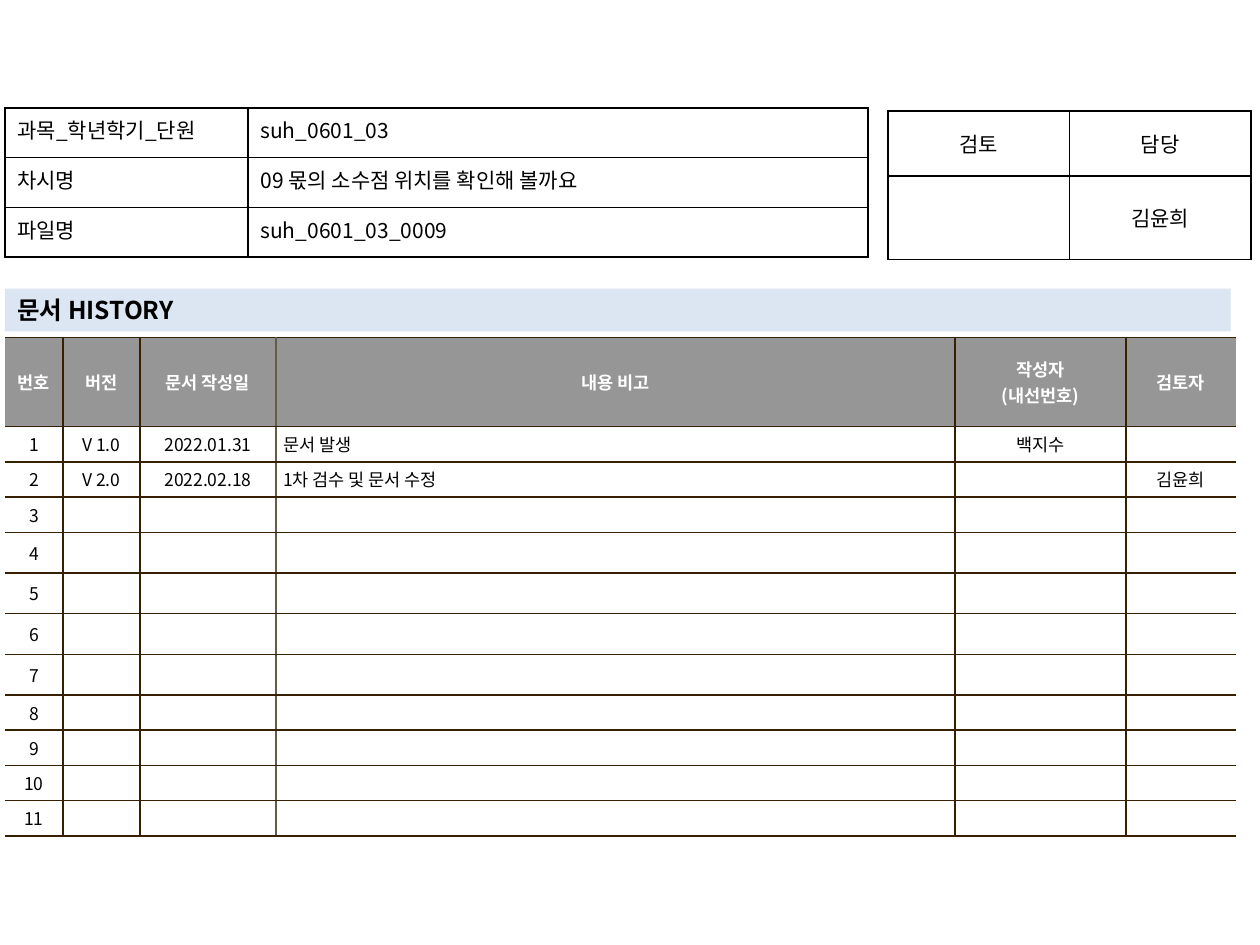
from lxml import etree
from pptx import Presentation
from pptx.dml.color import RGBColor
from pptx.enum.shapes import MSO_SHAPE
from pptx.enum.text import MSO_ANCHOR, MSO_AUTO_SIZE, PP_ALIGN
from pptx.oxml.ns import qn
from pptx.util import Cm, Pt

LEFT, CENTER, JUSTIFY = PP_ALIGN.LEFT, PP_ALIGN.CENTER, PP_ALIGN.JUSTIFY
TOP, MIDDLE = MSO_ANCHOR.TOP, MSO_ANCHOR.MIDDLE
FONT = "Noto Sans CJK KR"
BLACK, WHITE, GRAY, PALE_BLUE = "000000", "FFFFFF", "969696", "DCE6F2"
BROWN, TAUPE = "362000", "645B4C"


def style_font(font, size, color=BLACK, bold=False):
    font.name = FONT
    font.size = Pt(size)
    font.bold = bold
    font.color.rgb = RGBColor.from_string(color)


def add_grid(slide, left, top, widths, heights, rows, size, alignments,
             anchor, margins, horizontal, verticals):
    """Add a table; verticals holds one colour per column edge, None for no line."""
    table = slide.shapes.add_table(
        len(heights), len(widths), Cm(left), Cm(top),
        Cm(sum(widths)), Cm(sum(heights))).table
    table.first_row = table.horz_banding = False
    for column, width in zip(table.columns, widths):
        column.width = Cm(width)
    for row, height, texts in zip(table.rows, heights, rows):
        row.height = Cm(height)
        for index, (cell, text) in enumerate(zip(row.cells, texts)):
            cell.vertical_anchor = anchor
            cell.margin_left = cell.margin_right = Cm(margins[0])
            cell.margin_top = cell.margin_bottom = Cm(margins[1])
            properties = cell._tc.get_or_add_tcPr()
            edges = {"a:lnL": verticals[index], "a:lnR": verticals[index + 1],
                     "a:lnT": horizontal, "a:lnB": horizontal}
            for tag, color in edges.items():
                line = etree.SubElement(properties, qn(tag), w=str(Pt(1)))
                if color:
                    fill = etree.SubElement(line, qn("a:solidFill"))
                    etree.SubElement(fill, qn("a:srgbClr"), val=color)
                else:
                    etree.SubElement(line, qn("a:noFill"))
            cell.fill.background()
            for number, part in enumerate(text.split("\n")):
                frame = cell.text_frame
                paragraph = frame.add_paragraph() if number else frame.paragraphs[0]
                paragraph.alignment = alignments[index]
                if part:
                    run = paragraph.add_run()
                    run.text = part
                    style_font(run.font, size)
                else:
                    # An empty cell needs its own size or its row grows
                    etree.SubElement(paragraph._p, qn("a:endParaRPr"), sz=str(size * 100))
    return table


presentation = Presentation()
presentation.slide_width = Cm(25.4)
presentation.slide_height = Cm(19.05)
slide = presentation.slides.add_slide(presentation.slide_layouts[6])

# Document history
history_rows = [
    ["번호", "버전", "문서 작성일", "내용 비고", "작성자\n(내선번호)", "검토자"],
    ["1", "V 1.0", "2022.01.31", "문서 발생", "백지수", ""],
    ["2", "V 2.0", "2022.02.18", "1차 검수 및 문서 수정", "", "김윤희"],
]
history_rows += [[str(number)] + [""] * 5 for number in range(3, 12)]
history = add_grid(
    slide, 0.1, 6.8, [1.17, 1.55, 2.74, 13.69, 3.45, 2.21],
    [1.8] + [0.71] * 3 + [0.82] * 4 + [0.71] * 4, history_rows, 10,
    [CENTER, CENTER, CENTER, LEFT, CENTER, CENTER], MIDDLE, (0.15, 0.1),
    BROWN, [None, BROWN, BROWN, TAUPE, BROWN, BROWN, None])
for cell in history.iter_cells():
    cell.fill.solid()
    cell.fill.fore_color.rgb = RGBColor.from_string(WHITE)
for cell in history.rows[0].cells:
    cell.fill.fore_color.rgb = RGBColor.from_string(GRAY)
    for paragraph in cell.text_frame.paragraphs:
        paragraph.alignment = CENTER
        style_font(paragraph.runs[0].font, 10, WHITE, bold=True)

# Review and approval
add_grid(slide, 17.9, 2.24, [3.66] * 2, [1.31, 1.68],
         [["검토", "담당"], ["", "김윤희"]], 12, [CENTER] * 2, MIDDLE,
         (0.25, 0.13), BLACK, [BLACK] * 3)

# History heading
heading = slide.shapes.add_shape(
    MSO_SHAPE.RECTANGLE, Cm(0.1), Cm(5.82), Cm(24.71), Cm(0.86))
heading.shadow.inherit = False
heading.fill.solid()
heading.fill.fore_color.rgb = RGBColor.from_string(PALE_BLUE)
heading.line.fill.background()
heading.text_frame.auto_size = MSO_AUTO_SIZE.SHAPE_TO_FIT_TEXT
heading.text_frame.vertical_anchor = MIDDLE
paragraph = heading.text_frame.paragraphs[0]
paragraph.alignment = LEFT
run = paragraph.add_run()
run.text = "문서 HISTORY"
style_font(run.font, 14, bold=True)

# Document details
detail_rows = [
    ["과목_학년학기_단원", "suh_0601_03"],
    ["차시명", "09 몫의 소수점 위치를 확인해 볼까요"],
    ["파일명", "suh_0601_03_0009"],
]
add_grid(slide, 0.1, 2.18, [4.9, 12.5], [1] * 3, detail_rows, 12,
         [JUSTIFY, LEFT], TOP, (0.25, 0.13), BLACK, [BLACK] * 3)

presentation.save("out.pptx")
